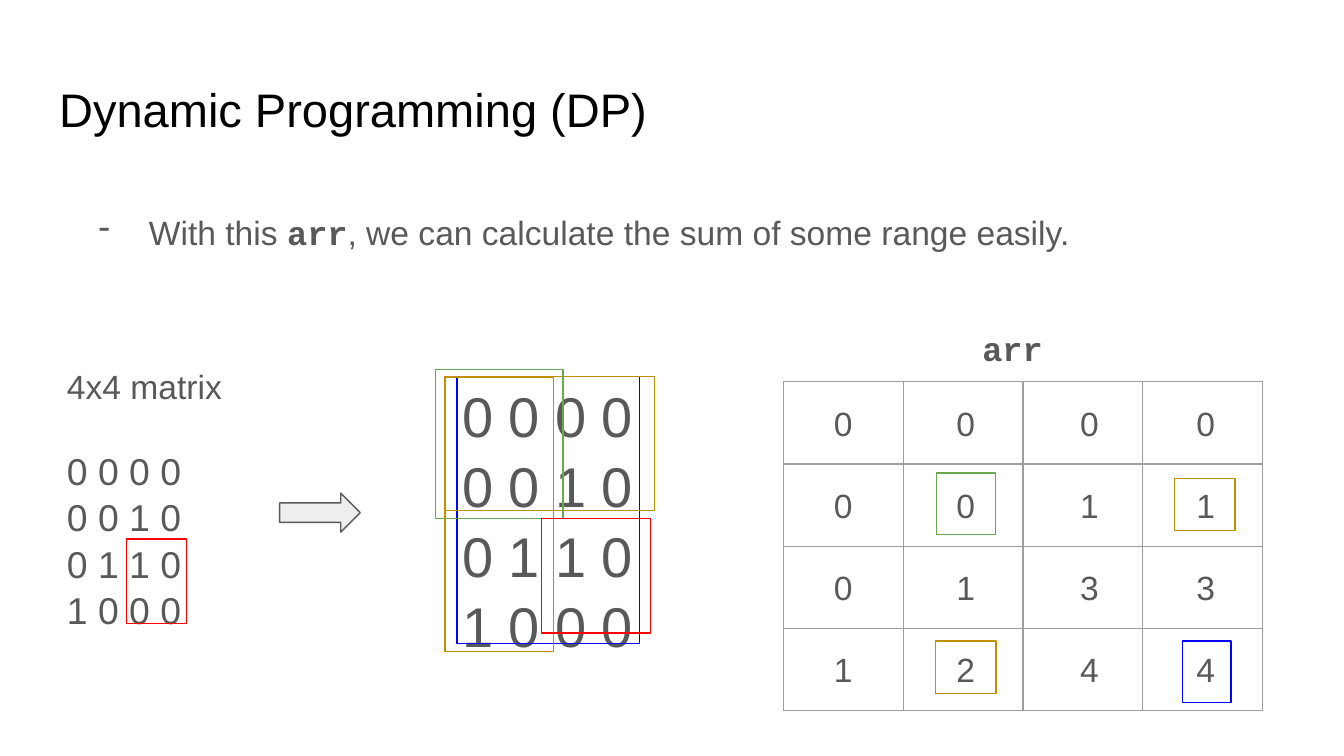
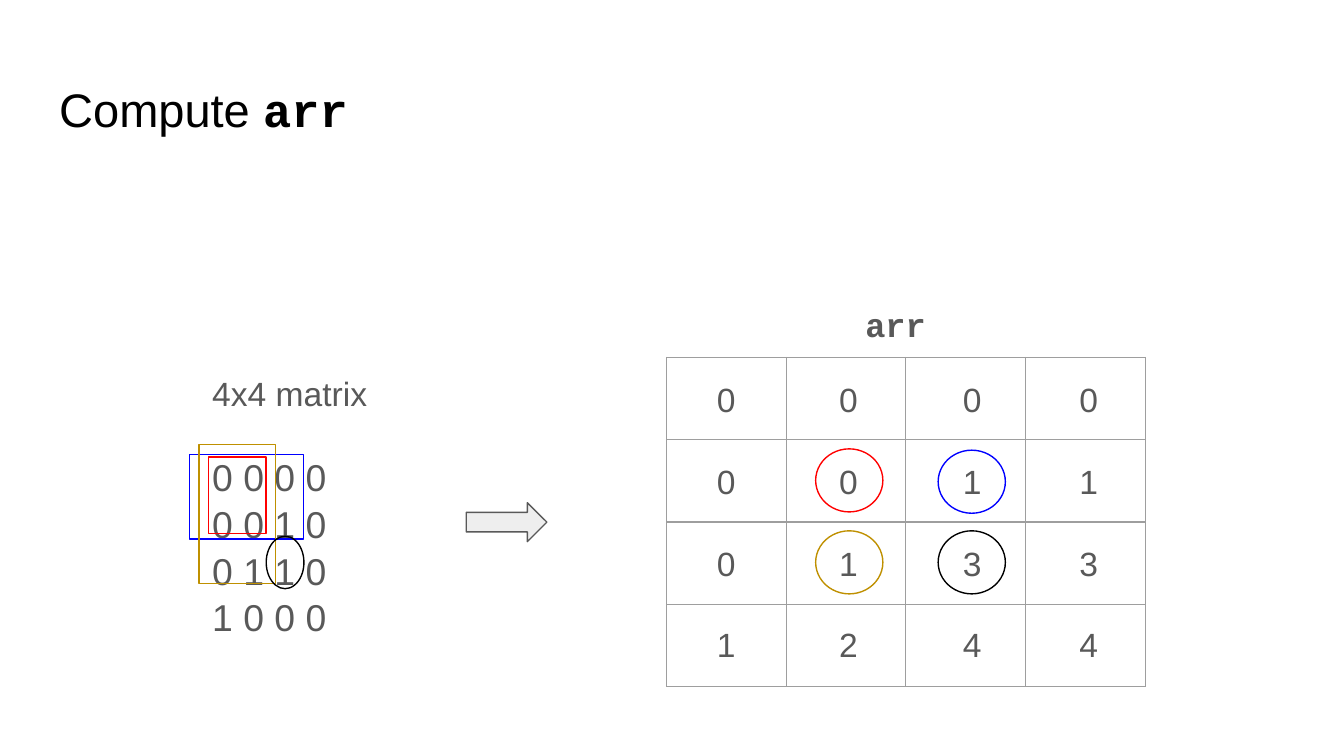
from lxml.etree import SubElement
from pptx import Presentation
from pptx.dml.color import RGBColor
from pptx.enum.shapes import MSO_SHAPE
from pptx.enum.text import MSO_ANCHOR, MSO_AUTO_SIZE, PP_ALIGN
from pptx.oxml.ns import qn
from pptx.util import Pt

SANS, MONO = "Arial", "Courier New"
BLACK, GRAY, LIGHT_GRAY, BORDER = "000000", "595959", "EEEEEE", "9E9E9E"
RED, BLUE, GOLD, GREEN = "FF0000", "0000FF", "BF9000", "6AA84F"
ARROW, RECTANGLE, OVAL = MSO_SHAPE.RIGHT_ARROW, MSO_SHAPE.RECTANGLE, MSO_SHAPE.OVAL

MATRIX = ["0 0 0 0", "0 0 1 0", "0 1 1 0", "1 0 0 0"]
PREFIX_SUMS = ["0000", "0011", "0133", "1244"]
COLUMN_WIDTH, ROW_HEIGHT = 64.1, 44.1
VALUE_LEFTS = [11.5, 77, 143.3, 205.7]

SLIDES = [
    {
        "title": [("Dynamic Programming (DP)", SANS)],
        "bullet": [("With this ", SANS), ("arr", MONO),
                   (", we can calculate the sum of some range easily.", SANS)],
        "matrix": (28.8, 187.9),
        "large matrix": (240.5, 195.8),
        "table": (419.8, 204.5),
        "shapes": [
            (ARROW, GRAY, (149.8, 264.2, 43.2, 20.9)),
            (RECTANGLE, RED, (67.7, 288.7, 32.4, 45.4)),
            (RECTANGLE, BLUE, (244.8, 201.6, 97.9, 143.3)),
            (RECTANGLE, GOLD, (238.3, 201.6, 112.3, 72)),
            (RECTANGLE, GOLD, (238.3, 202.3, 58.3, 146.9)),
            (RECTANGLE, GREEN, (233.3, 198, 68.4, 79.9)),
            (RECTANGLE, RED, (290.2, 277.9, 58.3, 61.2)),
            (RECTANGLE, BLUE, (633.6, 343.4, 25.9, 33.1)),
            (RECTANGLE, GOLD, (629.3, 256.3, 32.4, 28.1)),
            (RECTANGLE, GOLD, (501.1, 343.4, 32.4, 28.1)),
            (RECTANGLE, GREEN, (501.8, 253.4, 31.7, 33.1)),
        ],
    },
    {
        "title": [("Compute ", SANS), ("arr", MONO)],
        "matrix": (106.6, 191.5),
        "table": (357.1, 191.5),
        "shapes": [
            (ARROW, GRAY, (249.8, 269.3, 43.2, 20.9)),
            (RECTANGLE, BLUE, (101.5, 243.4, 61.2, 45.4)),
            (RECTANGLE, GOLD, (106.6, 238.3, 41, 74.2)),
            (RECTANGLE, RED, (111.6, 244.8, 31, 41)),
            (OVAL, BLACK, (142.6, 287.3, 20.2, 28.1)),
            (OVAL, RED, (437, 240.5, 36, 33.8)),
            (OVAL, BLUE, (502.6, 241.2, 36, 33.8)),
            (OVAL, GOLD, (437, 284.4, 36, 33.8)),
            (OVAL, BLACK, (502.6, 284.4, 36, 33.8)),
        ],
    },
]


def add_text_box(slide, left, top, width, height):
    text_frame = slide.shapes.add_textbox(Pt(left), Pt(top), Pt(width), Pt(height)).text_frame
    text_frame.word_wrap = True
    text_frame.margin_left = text_frame.margin_right = Pt(7.2)
    text_frame.margin_top = text_frame.margin_bottom = Pt(7.2)
    return text_frame


def add_line(text_frame, runs, size, color=GRAY):
    """Write (text, font) runs as the next paragraph; monospaced runs are bold."""
    paragraph = text_frame.paragraphs[0]
    if paragraph.runs:
        paragraph = text_frame.add_paragraph()
    for text, font_name in runs:
        run = paragraph.add_run()
        run.text = text
        run.font.name = font_name
        run.font.size = Pt(size)
        run.font.bold = font_name == MONO
        run.font.color.rgb = RGBColor.from_string(color)
    return paragraph


presentation = Presentation()
presentation.slide_width, presentation.slide_height = Pt(720), Pt(405)

for content in SLIDES:
    slide = presentation.slides.add_slide(presentation.slide_layouts[5])

    title = slide.shapes.title
    title.left, title.top, title.width, title.height = Pt(24.5), Pt(35.3), Pt(671), Pt(45.4)
    title_frame = title.text_frame
    title_frame.auto_size = MSO_AUTO_SIZE.NONE
    title_frame.vertical_anchor = MSO_ANCHOR.MIDDLE
    title_frame.margin_left = title_frame.margin_right = Pt(7.2)
    title_frame.margin_top = title_frame.margin_bottom = Pt(7.2)
    add_line(title_frame, content["title"], 25.2, BLACK).alignment = PP_ALIGN.LEFT

    if "bullet" in content:
        bullet_frame = add_text_box(slide, 36.7, 103, 671, 269.3)
        paragraph = add_line(bullet_frame, content["bullet"], 18)
        paragraph.line_spacing = 1.15
        properties = paragraph._p.get_or_add_pPr()
        properties.set("marL", str(Pt(36)))
        properties.set("indent", str(Pt(-27)))
        bullet_color = SubElement(properties, qn("a:buClr"))
        SubElement(bullet_color, qn("a:srgbClr"), val=GRAY)
        SubElement(properties, qn("a:buChar"), char="-")

    matrix_frame = add_text_box(slide, *content["matrix"], 136, 139)
    add_line(matrix_frame, [("4x4 matrix", SANS)], 18).line_spacing = 1.04
    for row, digits in enumerate(MATRIX):
        paragraph = add_line(matrix_frame, [(digits, SANS)], 20)
        paragraph.line_spacing = 1.04
        if row == 0:
            paragraph.space_before = Pt(21.5)

    if "large matrix" in content:
        large_frame = add_text_box(slide, *content["large matrix"], 112.3, 167)
        for digits in MATRIX:
            add_line(large_frame, [(digits, SANS)], 30).line_spacing = 1.04

    table_left, table_top = content["table"]
    table = slide.shapes.add_table(4, 4, Pt(table_left), Pt(table_top),
                                   Pt(4 * COLUMN_WIDTH), Pt(4 * ROW_HEIGHT)).table
    table.first_row = table.horz_banding = False
    for column in table.columns:
        column.width = Pt(COLUMN_WIDTH)
    for row in table.rows:
        row.height = Pt(ROW_HEIGHT)
    for cell in table.iter_cells():
        cell_properties = cell._tc.get_or_add_tcPr()
        for side in ("lnL", "lnR", "lnT", "lnB"):
            border = SubElement(cell_properties, qn(f"a:{side}"), w=str(Pt(0.75)))
            border_fill = SubElement(border, qn("a:solidFill"))
            SubElement(border_fill, qn("a:srgbClr"), val=BORDER)
        cell.fill.background()

    label_frame = add_text_box(slide, table_left + 99.4, table_top - 36, 57.6, 36)
    add_line(label_frame, [("arr", MONO)], 18)
    for row, values in enumerate(PREFIX_SUMS):
        for value_left, value in zip(VALUE_LEFTS, values):
            value_frame = add_text_box(slide, table_left + value_left,
                                       table_top + 4.3 + 43.8 * row, 41, 36)
            value_frame.vertical_anchor = MSO_ANCHOR.MIDDLE
            add_line(value_frame, [(value, SANS)], 18).alignment = PP_ALIGN.CENTER

    for kind, color, box in content["shapes"]:
        shape = slide.shapes.add_shape(kind, *map(Pt, box))
        shape.shadow.inherit = False
        shape.line.color.rgb = RGBColor.from_string(color)
        shape.line.width = Pt(0.75)
        if kind == ARROW:
            shape.fill.solid()
            shape.fill.fore_color.rgb = RGBColor.from_string(LIGHT_GRAY)
        else:
            shape.fill.background()

presentation.save("out.pptx")
